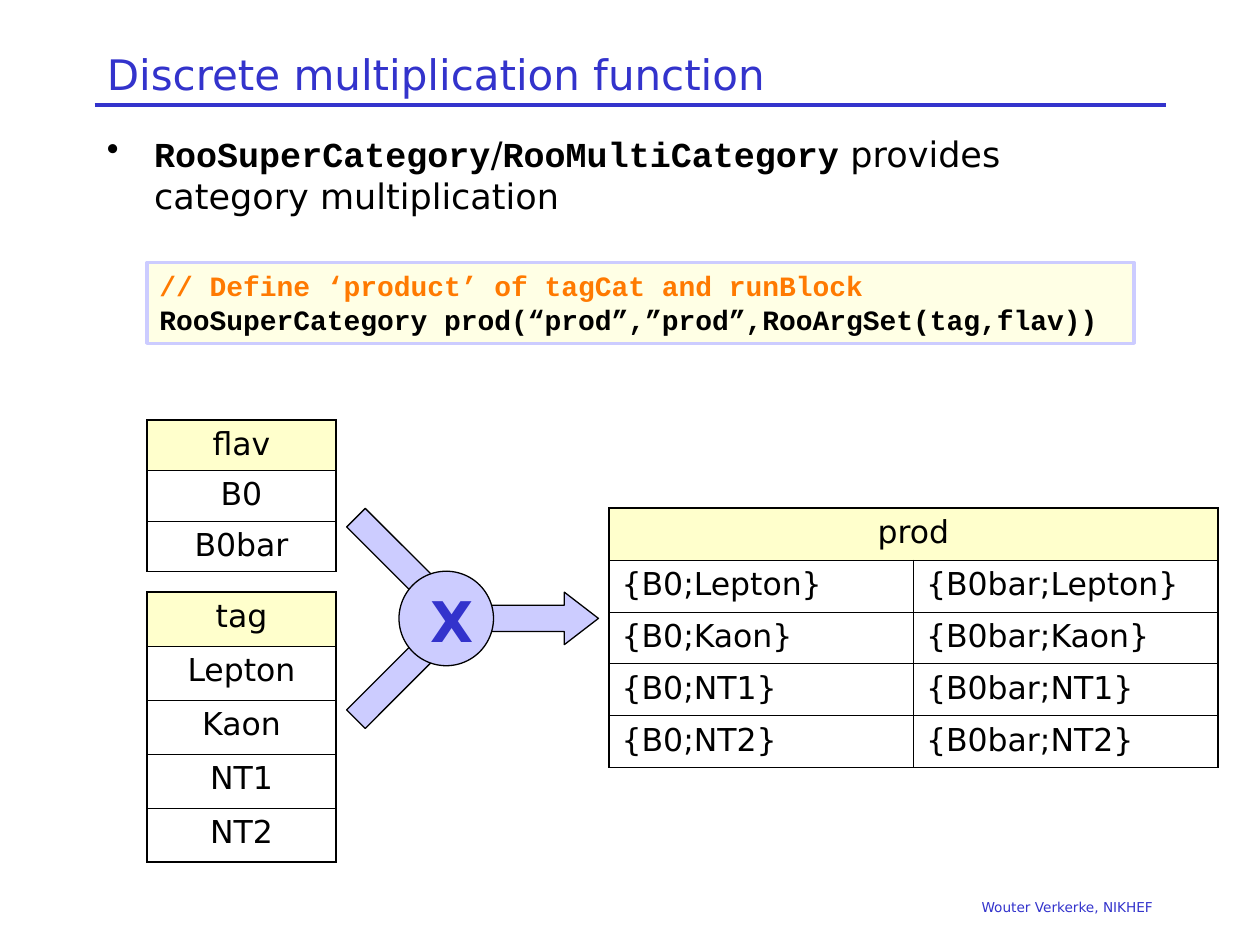
import pptx
import pptx.util
import pptx.dml.color
import pptx.enum.shapes
import pptx.enum.text
import pptx.oxml
import pptx.oxml.ns
import lxml.etree

RGBColor = pptx.dml.color.RGBColor
Pt = pptx.util.Pt
SHAPES = pptx.enum.shapes.MSO_SHAPE
ALIGN = pptx.enum.text.PP_ALIGN
qn = pptx.oxml.ns.qn

BLUE = RGBColor(0x33, 0x33, 0xCC)
LAVENDER = RGBColor(0xCC, 0xCC, 0xFF)
CREAM = RGBColor(0xFF, 0xFF, 0xCC)
ORANGE = RGBColor(0xFF, 0x7A, 0x01)
BLACK = RGBColor(0x00, 0x00, 0x00)
SANS, MONO = "DejaVu Sans", "Courier New"

deck = pptx.Presentation()
deck.slide_width = pptx.util.Inches(10)
deck.slide_height = pptx.util.Inches(7.5)
page = deck.slides.add_slide(deck.slide_layouts[6])
UNIT = deck.slide_width // 120  # the page is a grid of 120 columns by 90 rows


def grid(*cells):
    """Turn grid columns and rows into lengths."""
    return [round(cell * UNIT) for cell in cells]


def add_span(para, text, size, color=BLACK, font=SANS, bold=False):
    span = para.add_run()
    span.text = text
    span.font.size = Pt(size)
    span.font.name = font
    span.font.bold = bold
    span.font.color.rgb = color


# Title rule
rule = page.shapes.add_connector(
    pptx.enum.shapes.MSO_CONNECTOR.STRAIGHT, *grid(9, 10, 111, 10))
rule.line.color.rgb = BLUE
rule.line.width = Pt(2)
lxml.etree.SubElement(rule._element.spPr, qn("a:effectLst"))

# Footer, arrows and multiplication circle, code panel
footer = page.shapes.add_textbox(*grid(9, 85, 102, 3))
footer.text_frame.word_wrap = True
footer_para = footer.text_frame.paragraphs[0]
footer_para.alignment = ALIGN.RIGHT
add_span(footer_para, "Wouter Verkerke, NIKHEF", 7.8, BLUE)

for kind, place, turn in [
    (SHAPES.RIGHT_ARROW, (44, 56.4, 13, 5), 0),
    (SHAPES.RIGHT_ARROW, (32, 61.4, 13, 5), 315),
    (SHAPES.RIGHT_ARROW, (32, 51.4, 13, 5), 45),
    (SHAPES.OVAL, (38, 54.4, 9, 9), 0),
]:
    shape = page.shapes.add_shape(kind, *grid(*place))
    shape.rotation = turn
    shape.shadow.inherit = False
    shape.fill.solid()
    shape.fill.fore_color.rgb = LAVENDER
    shape.line.color.rgb = BLACK
    shape.line.width = Pt(0.75)
    if kind == SHAPES.RIGHT_ARROW:
        shape.adjustments[1] = 0.65

# Title
title = page.shapes.add_textbox(*grid(9, 4, 102, 6))
title.text_frame.word_wrap = True
title.text_frame.vertical_anchor = pptx.enum.text.MSO_ANCHOR.MIDDLE
add_span(title.text_frame.paragraphs[0],
         "Discrete multiplication function", 24, BLUE)

# Bulleted statement
body = page.shapes.add_textbox(*grid(9, 12, 102, 70))
body.text_frame.word_wrap = True
statement = body.text_frame.paragraphs[0]
indent = statement._p.get_or_add_pPr()
indent.set("marL", str(round(4.5 * UNIT)))
indent.set("indent", str(round(-4.5 * UNIT)))
lxml.etree.SubElement(indent, qn("a:buChar")).set("char", "•")
add_span(statement, "RooSuperCategory", 20, font=MONO, bold=True)
add_span(statement, "/", 20)
add_span(statement, "RooMultiCategory", 20, font=MONO, bold=True)
add_span(statement, " provides category multiplication", 20)

# Code panel
panel = page.shapes.add_shape(SHAPES.RECTANGLE, *grid(14, 25, 94, 7.7))
panel.shadow.inherit = False
panel.fill.solid()
panel.fill.fore_color.rgb = CREAM
tint = panel._element.spPr.find(qn("a:solidFill"))[0]
lxml.etree.SubElement(tint, qn("a:alpha")).set("val", "50000")
panel.line.color.rgb = LAVENDER
panel.line.width = Pt(2)
code = panel.text_frame
code.word_wrap = True
code.vertical_anchor = pptx.enum.text.MSO_ANCHOR.TOP
comment, call = code.paragraphs[0], code.add_paragraph()
comment.alignment = call.alignment = ALIGN.LEFT
add_span(comment, "// Define ‘product’ of tagCat and runBlock",
         16, ORANGE, MONO, True)
add_span(call, "RooSuperCategory prod(“prod”,”prod”,RooArgSet(tag,flav))",
         16, BLACK, MONO, True)

# Category tables: the product pairs every flavour with every tag
flavours = ["B0", "B0bar"]
tags = ["Lepton", "Kaon", "NT1", "NT2"]
products = [[f"{{{flavour};{tag}}}" for flavour in flavours] for tag in tags]
for heading, rows, place in [
    ("flav", [[flavour] for flavour in flavours], (14, 40, 18, 14.4)),
    ("tag", [[tag] for tag in tags], (14, 56.4, 18, 25.7)),
    ("prod", products, (58, 48.4, 58, 24.7)),
]:
    width, height = len(rows[0]), len(rows) + 1
    table = page.shapes.add_table(height, width, *grid(*place)).table
    for row in table.rows:
        row.height = round(place[3] * UNIT / height)
    lines = [[heading] + [""] * (width - 1)] + rows
    for r, line in enumerate(lines):
        for c, text in enumerate(line):
            cell = table.cell(r, c)
            properties = cell._tc.get_or_add_tcPr()
            for side, outer in [("L", c == 0), ("R", c == width - 1 or r == 0),
                                ("T", r == 0), ("B", r == height - 1)]:
                border = lxml.etree.SubElement(properties, qn(f"a:ln{side}"))
                border.set("w", str(Pt(1.08 if outer else 0.45)))
                paint = lxml.etree.SubElement(border, qn("a:solidFill"))
                lxml.etree.SubElement(
                    paint, qn("a:srgbClr")).set("val", str(BLACK))
            if r == 0:
                cell.fill.solid()
                cell.fill.fore_color.rgb = CREAM
            else:
                cell.fill.background()
            if text:
                para = cell.text_frame.paragraphs[0]
                centred = r == 0 or width == 1
                para.alignment = ALIGN.CENTER if centred else ALIGN.LEFT
                add_span(para, text, 18)
    if width > 1:
        table.cell(0, 0).merge(table.cell(0, width - 1))

# Multiplication sign
sign = page.shapes.add_textbox(*grid(39.8, 55.3, 5.9, 7.7))
sign.text_frame.word_wrap = False
add_span(sign.text_frame.paragraphs[0], "X", 32, BLUE, bold=True)

deck.save("out.pptx")
